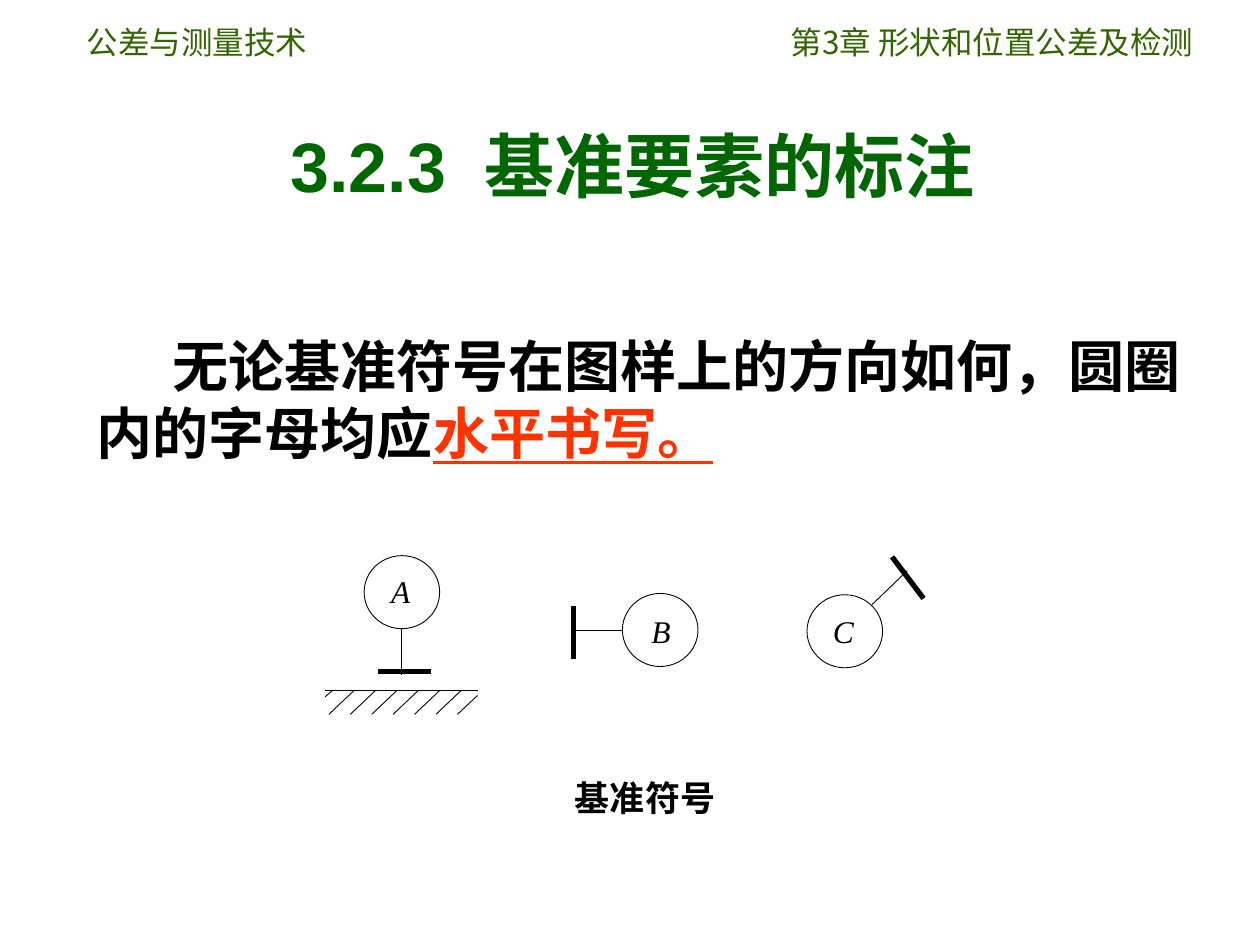
"""Builds the slide on labelling datum features, with three datum symbols."""
import dataclasses

import lxml.etree
import pptx
import pptx.dml.color
import pptx.enum.shapes
import pptx.enum.text
import pptx.oxml.ns
import pptx.util

ALIGN = pptx.enum.text.PP_ALIGN


@dataclasses.dataclass(frozen=True)
class Theme:
    ink: str = "000000"
    title_green: str = "006600"
    header_green: str = "336600"
    accent: str = "FF3300"
    cjk: str = "Noto Sans CJK SC"
    sans: str = "Arial"
    serif: str = "Times New Roman"
    title: int = 40
    body: int = 32
    caption: int = 20
    small: int = 18
    thin: float = 0.5
    medium: float = 1
    thick: float = 3


def add_run(p, text, *, size, color, font, ea, bold=False, italic=False,
            underline=False, tracking=0):
    r = p.add_run()
    r.text = text
    f = r.font
    f.size, f.name = pptx.util.Pt(size), font
    f.bold, f.italic, f.underline = bold, italic, underline
    f.color.rgb = pptx.dml.color.RGBColor.from_string(color)
    rPr = r._r.get_or_add_rPr()
    lxml.etree.SubElement(rPr, pptx.oxml.ns.qn("a:ea"), typeface=ea)
    if tracking:
        rPr.set("spc", str(tracking * 100))


class Deck:
    COLS, ROWS = 100, 75

    def __init__(self, theme):
        self.theme = theme
        self.prs = pptx.Presentation()
        self.prs.slide_width = pptx.util.Inches(10)
        self.prs.slide_height = pptx.util.Inches(7.5)
        self.s = self.prs.slides.add_slide(self.prs.slide_layouts[5])

    def x(self, cols):
        return round(self.prs.slide_width * cols / self.COLS)

    def y(self, rows):
        return round(self.prs.slide_height * rows / self.ROWS)

    def box(self, left, top, width, height):
        return self.x(left), self.y(top), self.x(width), self.y(height)

    def fill_frame(self, tf, runs, align, indent=0, **fmt):
        tf.word_wrap = True
        tf.auto_size = pptx.enum.text.MSO_AUTO_SIZE.NONE
        p = tf.paragraphs[0]
        p.alignment, p.line_spacing = align, 1.0
        p.space_before = pptx.util.Pt(0)
        if indent:
            p._p.get_or_add_pPr().set("indent", str(self.x(indent)))
        style = dict(color=self.theme.ink, font=self.theme.cjk, ea=self.theme.cjk)
        for text, own in runs:
            add_run(p, text, **{**style, **fmt, **own})

    def title(self, runs, *place):
        sp = self.s.shapes.title
        sp.left, sp.top, sp.width, sp.height = self.box(*place)
        sp.text_frame.vertical_anchor = pptx.enum.text.MSO_ANCHOR.MIDDLE
        self.fill_frame(sp.text_frame, runs, ALIGN.CENTER, size=self.theme.title,
                        font=self.theme.sans, color=self.theme.title_green, bold=True)

    def text(self, runs, *place, align=ALIGN.LEFT, inset=True, **fmt):
        tf = self.s.shapes.add_textbox(*self.box(*place)).text_frame
        if not inset:
            tf.margin_left = tf.margin_top = tf.margin_right = tf.margin_bottom = 0
        self.fill_frame(tf, runs, align, **fmt)

    def line(self, x1, y1, x2, y2, width):
        c = self.s.shapes.add_connector(
            pptx.enum.shapes.MSO_CONNECTOR.STRAIGHT,
            self.x(x1), self.y(y1), self.x(x2), self.y(y2))
        self.stroke(c, width)
        lxml.etree.SubElement(c._element.spPr, pptx.oxml.ns.qn("a:effectLst"))

    def stroke(self, shape, width):
        shape.line.width = pptx.util.Pt(width)
        shape.line.color.rgb = pptx.dml.color.RGBColor.from_string(self.theme.ink)

    def datum(self, letter, circle, label, stem, bar):
        sp = self.s.shapes.add_shape(pptx.enum.shapes.MSO_SHAPE.OVAL,
                                     *self.box(*circle, 6, 5.8))
        sp.shadow.inherit = False
        sp.fill.background()
        self.stroke(sp, self.theme.thin)
        self.line(*stem, self.theme.thin)
        self.line(*bar, self.theme.thick)
        self.text([(letter, {})], *label, 4.1, 5, inset=False,
                  size=self.theme.small, font=self.theme.serif, italic=True)

    def surface(self, left, right, top, strokes, pitch):
        t = self.theme
        self.line(left, top, right, top, t.medium)
        self.line(left, top + 0.5, left + 0.6, top, t.thin)
        for i in range(strokes):
            x = left + 0.3 + i * pitch
            self.line(x, top + 1.9, x + 2, top, t.thin)
        self.line(right - 1.6, top + 1.9, right, top + 0.4, t.thin)


def main():
    t = Theme()
    d = Deck(t)
    d.title([("3.2.3", {}), (" ", dict(tracking=11)), ("基准要素的标注", {})],
            3.5, 6.8, 93.4, 12.5)
    header = dict(size=t.small, color=t.header_green)
    d.text([("公差与测量技术", {})], 5.9, 1.3, 21.4, 4, **header)
    d.text([("第3章 形状和位置公差及检测", {})], 58.7, 1.3, 37, 4, align=ALIGN.RIGHT, **header)
    d.text([("无论基准符号在图样上的方向如何，圆圈内的字母均应", {}),
            ("水平书写。", dict(color=t.accent, underline=True))],
           6.7, 25.8, 91.4, 40.8, indent=6, size=t.body, bold=True)
    d.datum("A", (28.9, 44.1), (31.05, 45.4),
            (31.9, 49.9, 31.9, 53.6), (30, 53.3, 34.2, 53.3))
    d.surface(25.8, 37.9, 54.8, strokes=6, pitch=1.7)
    d.datum("B", (49.4, 47.1), (51.7, 48.55),
            (49.4, 50, 45.5, 50), (45.5, 48.1, 45.5, 52.3))
    d.datum("C", (64.05, 47.2), (66.1, 48.55),
            (69.2, 48, 72, 45.3), (73.3, 47.5, 70.8, 44.2))
    d.text([("基准符号", {})], 37, 61.1, 28.4, 4.4, align=ALIGN.CENTER,
           size=t.caption, font=t.sans, bold=True)
    d.prs.save("out.pptx")


if __name__ == "__main__":
    main()
